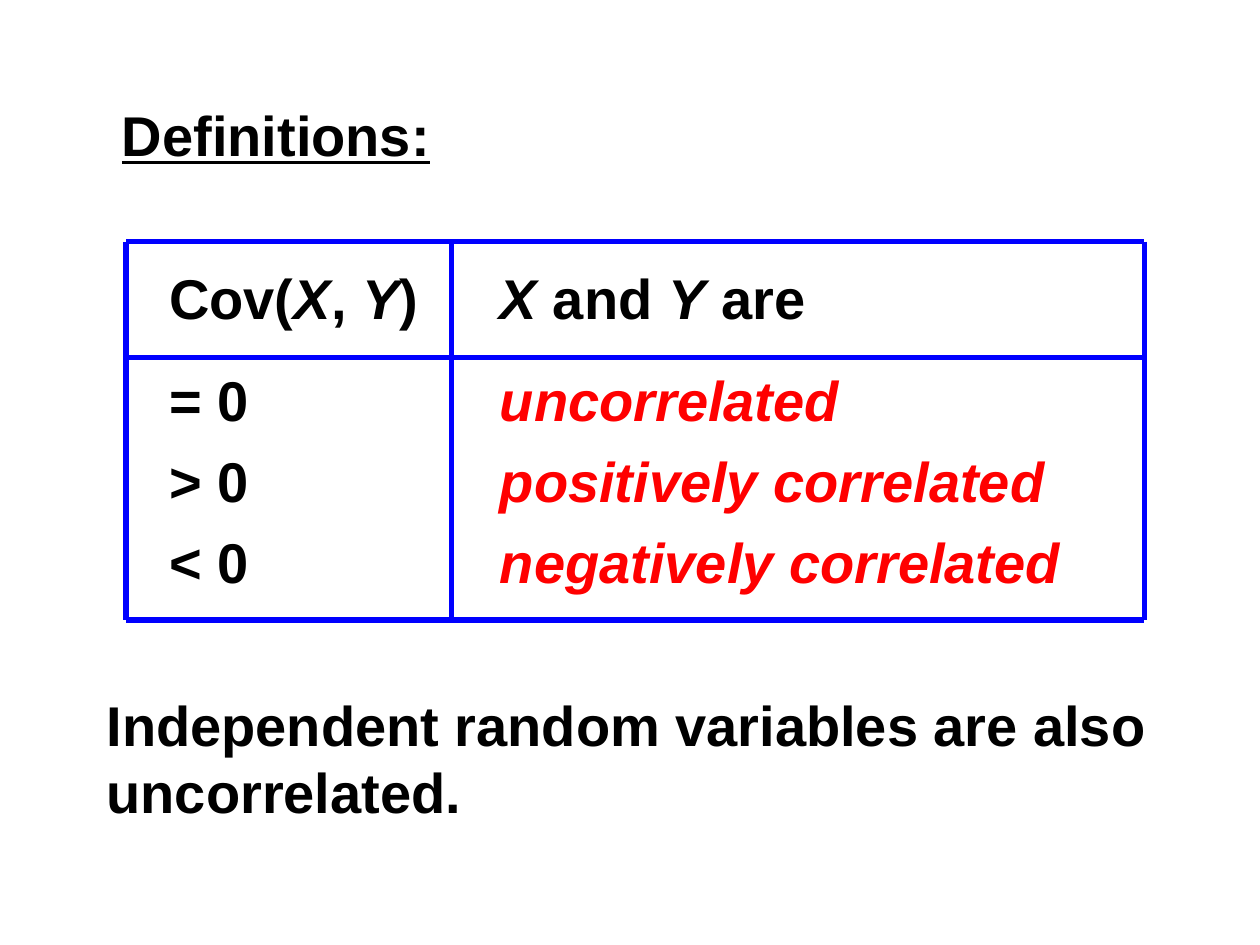
import pptx
import pptx.dml.color
import pptx.enum.shapes
import pptx.oxml.ns
import pptx.util
from lxml import etree

Cm = pptx.util.Cm
Pt = pptx.util.Pt
qn = pptx.oxml.ns.qn

COLORS = {"text": "000000", "term": "FF0000", "rule": "0000FF"}
PLAIN = {"name": "Arial", "size": Pt(32), "bold": True}
ITALIC = {**PLAIN, "italic": True}
HEADING = {**PLAIN, "underline": True}

CASES = [
    ("= 0", "uncorrelated"),
    ("> 0", "positively correlated"),
    ("< 0", "negatively correlated"),
]
SECTION_GAP, HEADER_GAP, CASE_GAP = 54.5, 20, 8
TITLE_TABS = [Cm(0.31)]
COLUMN_TABS = [Cm(1.26), Cm(7.93)]

# Each paragraph: space before in points, tab stops, spans of text, format, color
PARAGRAPHS = [
    (0, TITLE_TABS, [("\t", PLAIN, "text"), ("Definitions:", HEADING, "text")]),
    (SECTION_GAP, COLUMN_TABS, [
        ("\tCov(", PLAIN, "text"), ("X", ITALIC, "text"), (", ", PLAIN, "text"),
        ("Y", ITALIC, "text"), (")\t", PLAIN, "text"), ("X", ITALIC, "text"),
        (" and ", PLAIN, "text"), ("Y", ITALIC, "text"), (" are", PLAIN, "text"),
    ]),
    *[
        (CASE_GAP if i else HEADER_GAP, COLUMN_TABS,
         [(f"\t{sign}\t", PLAIN, "text"), (term, ITALIC, "term")])
        for i, (sign, term) in enumerate(CASES)
    ],
    (SECTION_GAP, [], [
        ("Independent random variables are also uncorrelated.", PLAIN, "text"),
    ]),
]

RULE_COLUMNS = [Cm(2.54), Cm(9.1), Cm(23.07)]
RULE_ROWS = [Cm(4.87), Cm(7.2), Cm(12.5)]


def set_tabs(para, stops):
    properties = para._p.get_or_add_pPr()
    tabs = etree.SubElement(properties, qn("a:tabLst"))
    for stop in stops:
        etree.SubElement(tabs, qn("a:tab"), pos=str(stop), algn="l")


def add_definitions(page):
    box = page.shapes.add_textbox(Cm(1.9), Cm(1.9), Cm(22.23), Cm(15.03))
    frame = box.text_frame
    frame.word_wrap = True
    for i, (gap, stops, spans) in enumerate(PARAGRAPHS):
        para = frame.add_paragraph() if i else frame.paragraphs[0]
        para.space_before = Pt(gap)
        if stops:
            set_tabs(para, stops)
        for text, style, color in spans:
            span = para.add_run()
            span.text = text
            for name, value in style.items():
                setattr(span.font, name, value)
            span.font.color.rgb = pptx.dml.color.RGBColor.from_string(COLORS[color])


def add_rule(page, *ends):
    rule = page.shapes.add_connector(pptx.enum.shapes.MSO_CONNECTOR.STRAIGHT, *ends)
    rule.line.width = Pt(3)
    rule.line.color.rgb = pptx.dml.color.RGBColor.from_string(COLORS["rule"])
    etree.SubElement(rule._element.spPr, qn("a:effectLst"))


def main():
    deck = pptx.Presentation()
    deck.slide_width, deck.slide_height = Cm(25.4), Cm(19.05)
    page = deck.slides.add_slide(deck.slide_layouts[6])
    add_definitions(page)
    for y in RULE_ROWS:
        add_rule(page, RULE_COLUMNS[0], y, RULE_COLUMNS[-1], y)
    for x in RULE_COLUMNS:
        add_rule(page, x, RULE_ROWS[0], x, RULE_ROWS[-1])
    deck.save("out.pptx")


if __name__ == "__main__":
    main()
